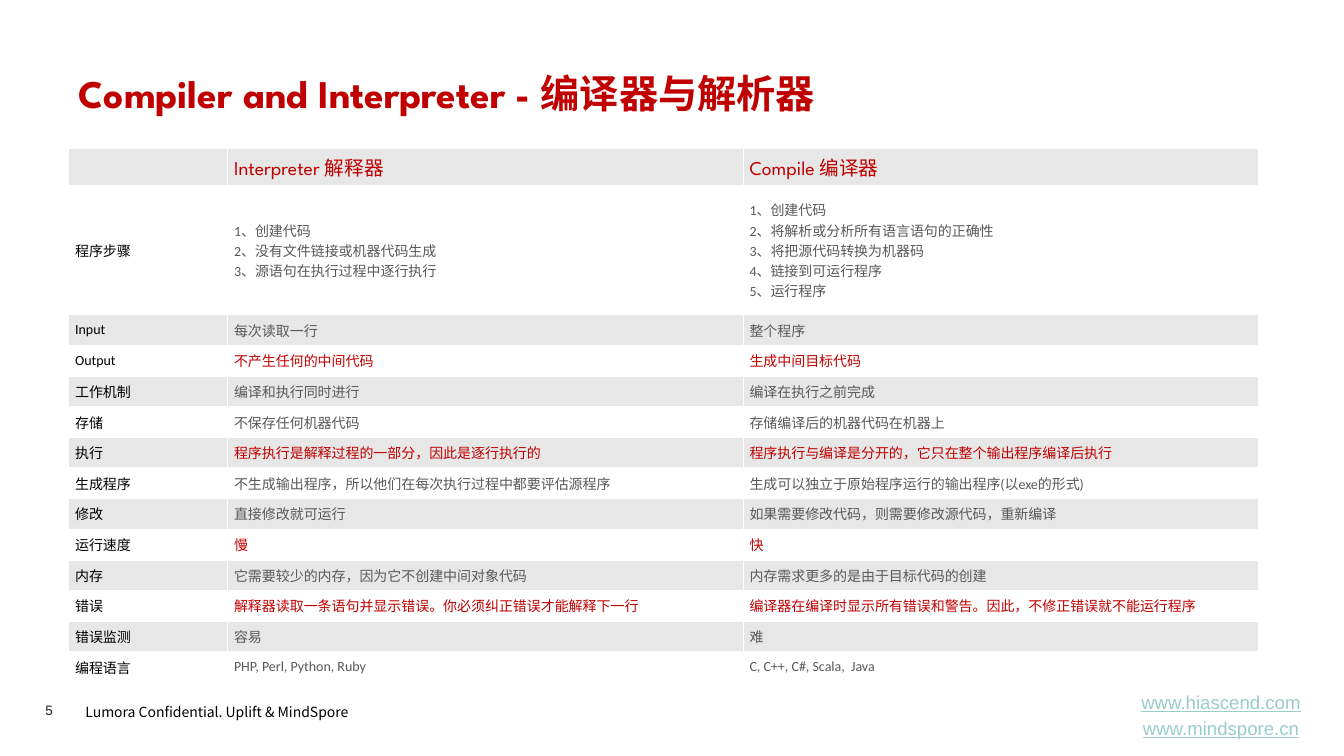
from dataclasses import dataclass

from lxml import etree
from pptx import Presentation
from pptx.dml.color import RGBColor
from pptx.enum import text as tx
from pptx.oxml import ns
from pptx.util import Pt

RED = RGBColor(0xC0, 0x00, 0x00)
GRAY = RGBColor(0x59, 0x59, 0x5A)
BAND = RGBColor(0xE7, 0xE7, 0xE7)
WHITE = RGBColor(0xFF, 0xFF, 0xFF)
BLACK = RGBColor(0, 0, 0)
INK = RGBColor(0x1D, 0x1D, 0x1B)
LINK = RGBColor(0x99, 0xCC, 0xCC)

MID = tx.MSO_ANCHOR.MIDDLE
LEFT = tx.PP_ALIGN.LEFT


@dataclass(frozen=True)
class Face:
    name: str
    size: float
    color: RGBColor
    bold: bool = False
    under: bool = False


@dataclass(frozen=True)
class Row:
    label: str
    interp: str
    comp: str
    key: bool = False
    high: float = 21.9


@dataclass(frozen=True)
class Note:
    box: tuple[float, float, float, float]
    lines: tuple[str, ...]
    face: Face
    align: tx.PP_ALIGN = LEFT
    anchor: tx.MSO_ANCHOR = tx.MSO_ANCHOR.TOP
    inset: tuple[float, float] = (7.2, 3.6)
    lead: float = 1.0


HEAD = Face("League Spartan", 14, RED)
TITLE = Face("League Spartan", 28, RED, bold=True)
LABEL = Face("Calibri", 10, BLACK)
PLAIN = Face("Calibri", 10, GRAY)
KEY = Face("Calibri", 10, RED)

COLS = (113.6, 368.4, 368.4)
ROWS = (
    Row("", "Interpreter 解释器", "Compile 编译器", high=26.6),
    Row("程序步骤",
        "1、创建代码\v2、没有文件链接或机器代码生成\v3、源语句在执行过程中逐行执行",
        "1、创建代码\v2、将解析或分析所有语言语句的正确性\v3、将把源代码转换为机器码\v"
        "4、链接到可运行程序\v5、运行程序", high=92.4),
    Row("Input", "每次读取一行", "整个程序"),
    Row("Output", "不产生任何的中间代码", "生成中间目标代码", key=True),
    Row("工作机制", "编译和执行同时进行", "编译在执行之前完成"),
    Row("存储", "不保存任何机器代码", "存储编译后的机器代码在机器上"),
    Row("执行", "程序执行是解释过程的一部分，因此是逐行执行的",
        "程序执行与编译是分开的，它只在整个输出程序编译后执行", key=True),
    Row("生成程序", "不生成输出程序，所以他们在每次执行过程中都要评估源程序",
        "生成可以独立于原始程序运行的输出程序(以exe的形式)"),
    Row("修改", "直接修改就可运行", "如果需要修改代码，则需要修改源代码，重新编译"),
    Row("运行速度", "慢", "快", key=True),
    Row("内存", "它需要较少的内存，因为它不创建中间对象代码",
        "内存需求更多的是由于目标代码的创建"),
    Row("错误", "解释器读取一条语句并显示错误。你必须纠正错误才能解释下一行",
        "编译器在编译时显示所有错误和警告。因此，不修正错误就不能运行程序", key=True),
    Row("错误监测", "容易", "难"),
    Row("编程语言", "PHP, Perl, Python, Ruby", "C, C++, C#, Scala,  Java"),
)

NOTES = (
    Note((54, 496.8, 225.4, 20.9), ("Lumora Confidential. Uplift & MindSpore",),
         Face("Noto Sans CJK SC", 10, BLACK), lead=1.2),
    Note((32.4, 501.1, 39.6, 11.5), ("5",), Face("Arial", 9.7, INK), inset=(0, 0)),
    Note((794.9, 495.4, 155.5, 31), ("www.hiascend.com", "www.mindspore.cn"),
         Face("Arial", 13.3, LINK, under=True), tx.PP_ALIGN.CENTER, MID),
)


def style(para, face: Face) -> None:
    font = para.font
    font.name, font.size, font.bold = face.name, Pt(face.size), face.bold
    font.underline = face.under
    font.color.rgb = face.color


def edge(cell) -> None:
    """Draw white one-point borders; call before the cell is filled."""
    props = cell._tc.get_or_add_tcPr()
    for side in ("lnL", "lnR", "lnT", "lnB"):
        line = etree.SubElement(props, ns.qn(f"a:{side}"), w=str(Pt(1)))
        fill = etree.SubElement(line, ns.qn("a:solidFill"))
        etree.SubElement(fill, ns.qn("a:srgbClr"), val=str(WHITE))


def put_cell(cell, words: str, face: Face, fill: RGBColor) -> None:
    edge(cell)
    cell.fill.solid()
    cell.fill.fore_color.rgb = fill
    cell.vertical_anchor = MID
    cell.margin_left = cell.margin_right = Pt(4.5)
    cell.margin_top = cell.margin_bottom = Pt(2.9)
    cell.text_frame.text = words
    style(cell.text_frame.paragraphs[0], face)


def put_table(slide) -> None:
    high = sum(row.high for row in ROWS)
    frame = slide.shapes.add_table(len(ROWS), len(COLS), Pt(49.2), Pt(105.9),
                                   Pt(sum(COLS)), Pt(high))
    table = frame.table
    table.first_row = table.horz_banding = False
    for col, wide in zip(table.columns, COLS):
        col.width = Pt(wide)
    for i, row in enumerate(ROWS):
        table.rows[i].height = Pt(row.high)
        body = HEAD if i == 0 else KEY if row.key else PLAIN
        faces = (HEAD if i == 0 else LABEL, body, body)
        fill = WHITE if i % 2 else BAND
        for j, words in enumerate((row.label, row.interp, row.comp)):
            put_cell(table.cell(i, j), words, faces[j], fill)


def put_note(slide, note: Note) -> None:
    frame = slide.shapes.add_textbox(*map(Pt, note.box)).text_frame
    frame.word_wrap = True
    frame.vertical_anchor = note.anchor
    frame.margin_left = frame.margin_right = Pt(note.inset[0])
    frame.margin_top = frame.margin_bottom = Pt(note.inset[1])
    frame.text = "\n".join(note.lines)
    for i, para in enumerate(frame.paragraphs):
        para.alignment = note.align
        para.line_spacing = note.lead
        if i:
            para.space_before = Pt(2.7)
        style(para, note.face)


def put_title(slide) -> None:
    title = slide.shapes.title
    title.left, title.top = Pt(49), Pt(43.2)
    title.width, title.height = Pt(863.3), Pt(46.1)
    frame = title.text_frame
    frame.text = "Compiler and Interpreter - 编译器与解析器"
    frame.vertical_anchor = MID
    frame.paragraphs[0].alignment = LEFT
    style(frame.paragraphs[0], TITLE)


def main() -> None:
    deck = Presentation()
    deck.slide_width, deck.slide_height = Pt(960.5), Pt(540)
    slide = deck.slides.add_slide(deck.slide_layouts[5])
    put_title(slide)
    put_table(slide)
    for note in NOTES:
        put_note(slide, note)
    deck.save("out.pptx")


if __name__ == "__main__":
    main()
